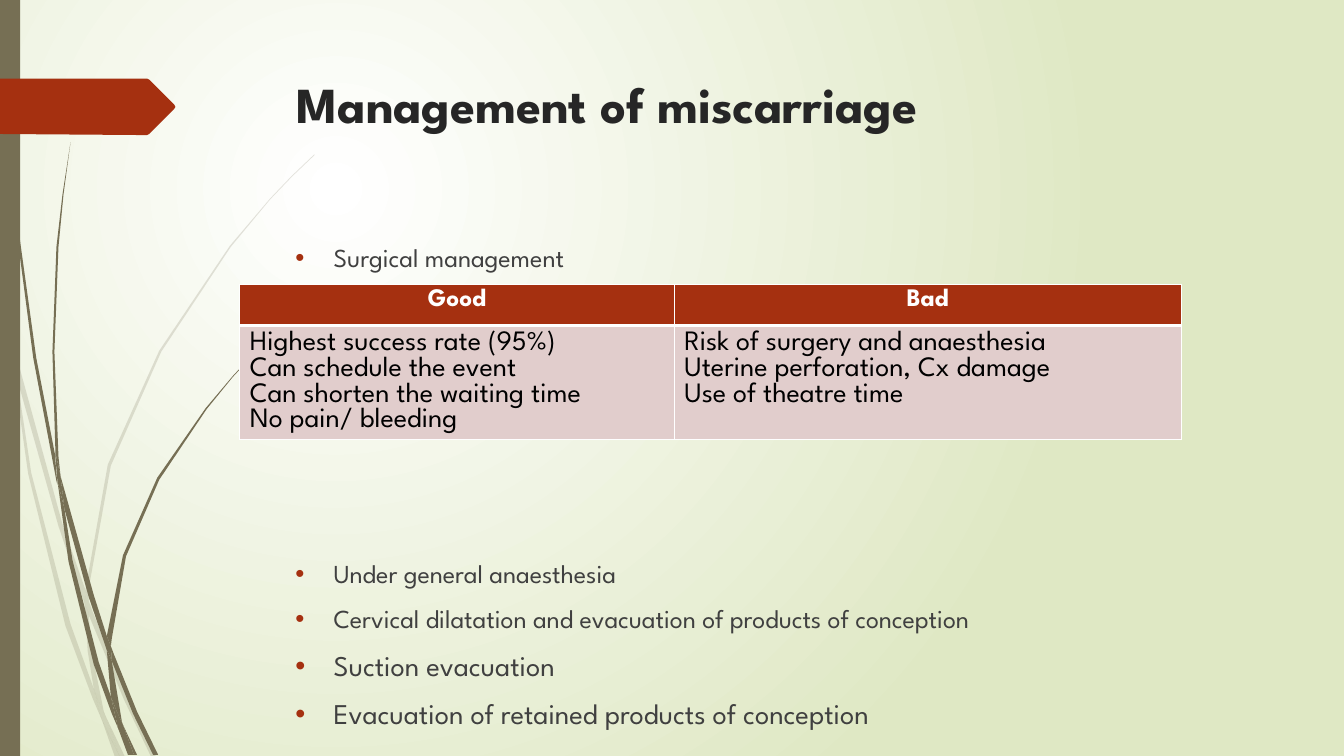
from dataclasses import dataclass

from lxml.etree import SubElement
from pptx import Presentation
from pptx.dml.color import RGBColor
from pptx.enum.shapes import MSO_SHAPE
from pptx.enum.text import MSO_ANCHOR, MSO_AUTO_SIZE, PP_ALIGN
from pptx.oxml import parse_xml
from pptx.oxml.ns import nsdecls, qn
from pptx.util import Emu, Inches, Pt

FONT = "League Spartan"
COLORS = {
    "olive": "766F54", "rust": "A53010", "blush": "E1CDCC", "sage": "DFE8C4",
    "white": "FFFFFF", "black": "000000", "title": "262626", "body": "404040",
}

# The grid: square cells, 750 rows over the slide's height
SLIDE_WIDTH, SLIDE_HEIGHT = Inches(13.333), Inches(7.5)
CELL = SLIDE_HEIGHT // 750


@dataclass(frozen=True)
class Area:
    column: int
    row: int
    columns: int
    rows: int

    def lengths(self) -> tuple:
        return tuple(Emu(n * CELL) for n in (self.column, self.row, self.columns, self.rows))


@dataclass(frozen=True)
class TextStyle:
    size: float
    color: str
    bold: bool = False


@dataclass(frozen=True)
class Bullet:
    text: str
    size: float = 18.5
    line: float = 22.2
    before: float = 10


@dataclass(frozen=True)
class Outline:
    points: tuple
    color: str = "olive"
    opacity: int = 100


# Grass blades: corner points in grid cells
PALE_BLADES = (
    ((11, 350), (9, 322), (0, 282), (0, 299), (10, 344)),
    ((58, 522), (84, 599), (85, 586), (62, 520), (14, 345), (17, 376)),
    ((92, 607), (88, 596), (88, 610), (123, 694), (150, 751), (155, 751), (127, 692)),
    ((119, 751), (124, 751), (105, 711)),
    ((93, 683), (70, 619), (31, 469), (17, 376), (11, 350), (28, 470), (65, 621),
     (92, 693), (101, 714), (99, 707)),
    ((84, 599), (87, 646), (93, 683), (96, 692), (105, 711), (103, 706), (91, 646),
     (88, 610), (88, 608)),
    ((88, 584), (110, 462), (160, 349), (229, 245), (268, 198), (290, 175), (312, 154),
     (312, 153), (289, 175), (268, 197), (228, 244), (158, 348), (107, 461), (85, 584),
     (85, 586), (88, 596)),
    ((101, 714), (114, 751), (119, 751)),
    ((88, 608), (88, 610), (88, 596), (85, 586), (84, 599)),
    ((96, 692), (93, 683), (99, 707), (101, 714), (119, 751), (105, 711)),
)
DARK_BLADES = (
    ((7, 110), (17, 233), (33, 355), (56, 477), (57, 481), (55, 457), (55, 453), (36, 355),
     (19, 232), (8, 109), (5, 48), (4, 0), (3, 0), (4, 48)),
    ((88, 592), (106, 645), (106, 633), (106, 631), (93, 590), (60, 472), (64, 505)),
    ((113, 649), (110, 641), (111, 656), (132, 708), (152, 749), (157, 749), (136, 706)),
    ((110, 691), (98, 657), (72, 556), (64, 505), (57, 477), (68, 557), (93, 659),
     (111, 708), (117, 722), (116, 717)),
    ((60, 472), (58, 453), (54, 349), (58, 245), (63, 193), (70, 141), (62, 193),
     (56, 245), (52, 349), (55, 449)),
    ((133, 749), (136, 749), (122, 719)),
    ((57, 477), (64, 505), (60, 472), (55, 449), (55, 453)),
    ((111, 633), (125, 552), (158, 476), (205, 406), (231, 374), (245, 359), (261, 344),
     (260, 344), (245, 358), (231, 373), (204, 405), (156, 474), (122, 551), (106, 631),
     (110, 641)),
    ((117, 722), (127, 749), (131, 749)),
    ((106, 645), (110, 691), (116, 706), (122, 719), (121, 716), (111, 656), (109, 651)),
    ((106, 645), (109, 651), (111, 656), (110, 641), (106, 631), (106, 633)),
    ((116, 706), (110, 691), (116, 717), (117, 722), (130, 749), (133, 749), (122, 719)),
)
BANNER = Outline(((173, 108), (148, 133), (146, 134), (136, 134), (0, 133), (0, 78),
                  (146, 78), (148, 79), (173, 104), (174, 106)), "rust")

SIDE_BAR = Area(0, 0, 20, 750)
TITLE_AREA = Area(284, 68, 975, 140)
BODY_AREA = Area(283, 235, 975, 482)
TABLE_AREA = Area(238, 282, 934, 154)
TABLE_COLUMNS, TABLE_ROWS = (431, 503), (41, 113)

# The second bullet starts below the table
BULLETS = (
    Bullet("Surgical management", before=0),
    Bullet("Under general anaesthesia", before=203.5),
    Bullet("Cervical dilatation and evacuation of products of conception"),
    Bullet("Suction evacuation", 20.4, 24.5),
    Bullet("Evacuation of retained products of conception", 20.4, 24.5),
)
TABLE_TEXT = (
    (("Good",), ("Bad",)),
    (("Highest success rate (95%)", "Can schedule the event",
      "Can shorten the waiting time", "No pain/ bleeding"),
     ("Risk of surgery and anaesthesia", "Uterine perforation, Cx damage",
      "Use of theatre time")),
)


def rgb(name: str) -> RGBColor:
    return RGBColor.from_string(COLORS[name])


def add_span(para, text: str, style: TextStyle) -> None:
    span = para.add_run()
    span.text = text
    span.font.name, span.font.size, span.font.bold = FONT, Pt(style.size), style.bold
    span.font.color.rgb = rgb(style.color)


def paint(shape, color: str) -> None:
    shape.shadow.inherit = False
    shape.fill.solid()
    shape.fill.fore_color.rgb = rgb(color)
    shape.line.fill.background()


def draw_outline(page, outline: Outline) -> None:
    builder = page.shapes.build_freeform(*outline.points[0], scale=CELL)
    builder.add_line_segments(outline.points[1:], close=True)
    shape = builder.convert_to_shape()
    paint(shape, outline.color)
    if outline.opacity < 100:
        tint = shape.element.spPr.find(qn("a:solidFill"))[0]
        SubElement(tint, qn("a:alpha")).set("val", str(outline.opacity * 1000))


def paint_background(page) -> None:
    fill = page.background.fill
    fill.gradient()
    for stop, color in zip(fill.gradient_stops, ("white", "sage")):
        stop.color.rgb = rgb(color)
    gradient = page.element.cSld.find(".//" + qn("a:gradFill"))
    gradient.replace(gradient.find(qn("a:lin")), parse_xml(
        f'<a:path {nsdecls("a")} path="circle">'
        '<a:fillToRect l="50000" t="50000" r="100000" b="100000"/></a:path>'))


def place_text(box, area: Area):
    """Move a placeholder to its area, in front of the decoration."""
    box.left, box.top, box.width, box.height = area.lengths()
    box.element.getparent().append(box.element)
    frame = box.text_frame
    frame.word_wrap, frame.auto_size = True, MSO_AUTO_SIZE.NONE
    frame.vertical_anchor = MSO_ANCHOR.TOP
    return frame


def add_bullet(para, bullet: Bullet) -> None:
    properties = para._p.get_or_add_pPr()
    properties.set("marL", str(38 * CELL))
    properties.set("indent", str(-38 * CELL))
    color = SubElement(properties, qn("a:buClr"))
    SubElement(color, qn("a:srgbClr")).set("val", COLORS["rust"])
    SubElement(properties, qn("a:buFont")).set("typeface", "Arial")
    SubElement(properties, qn("a:buChar")).set("char", "•")
    para.line_spacing, para.space_before = Pt(bullet.line), Pt(bullet.before)
    add_span(para, bullet.text, TextStyle(bullet.size, "body"))


def fill_cell(cell, lines: tuple, header: bool) -> None:
    style = TextStyle(18, "white", True) if header else TextStyle(20, "black")
    cell.fill.solid()
    cell.fill.fore_color.rgb = rgb("rust" if header else "blush")
    for index, line in enumerate(lines):
        para = cell.text_frame.add_paragraph() if index else cell.text_frame.paragraphs[0]
        para.alignment = PP_ALIGN.CENTER if header else PP_ALIGN.LEFT
        add_span(para, line, style)
    for index, side in enumerate("LRTB"):
        width = Pt(3 if header and side == "B" else 1)
        cell._tc.get_or_add_tcPr().insert(index, parse_xml(
            f'<a:ln{side} {nsdecls("a")} w="{width}"><a:solidFill>'
            f'<a:srgbClr val="{COLORS["white"]}"/></a:solidFill></a:ln{side}>'))


def add_comparison(page) -> None:
    table = page.shapes.add_table(2, 2, *TABLE_AREA.lengths()).table
    table.horz_banding = False
    for column, width in zip(table.columns, TABLE_COLUMNS):
        column.width = Emu(width * CELL)
    for row, height, texts in zip(table.rows, TABLE_ROWS, TABLE_TEXT):
        row.height = Emu(height * CELL)
        for cell, lines in zip(row.cells, texts):
            fill_cell(cell, lines, header=texts is TABLE_TEXT[0])


def main() -> None:
    deck = Presentation()
    deck.slide_width, deck.slide_height = SLIDE_WIDTH, SLIDE_HEIGHT
    page = deck.slides.add_slide(deck.slide_layouts[1])
    # Decoration
    paint_background(page)
    for points in PALE_BLADES:
        draw_outline(page, Outline(points, opacity=20))
    for points in DARK_BLADES:
        draw_outline(page, Outline(points))
    paint(page.shapes.add_shape(MSO_SHAPE.RECTANGLE, *SIDE_BAR.lengths()), "olive")
    draw_outline(page, BANNER)
    # Title and list
    heading = place_text(page.shapes.title, TITLE_AREA).paragraphs[0]
    heading.alignment = PP_ALIGN.LEFT
    add_span(heading, "Management of miscarriage", TextStyle(36, "title", True))
    frame = place_text(page.placeholders[1], BODY_AREA)
    for index, bullet in enumerate(BULLETS):
        add_bullet(frame.add_paragraph() if index else frame.paragraphs[0], bullet)
    # Table
    add_comparison(page)
    deck.save("out.pptx")


if __name__ == "__main__":
    main()
